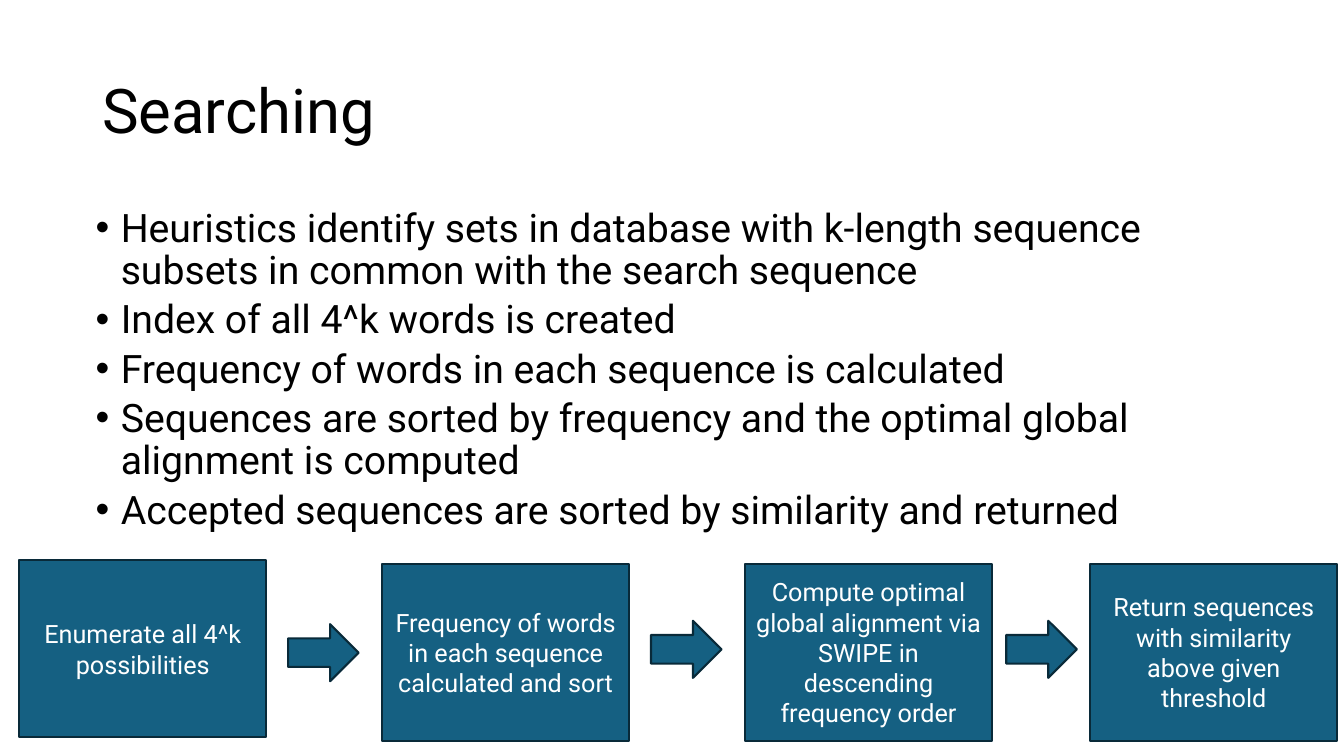
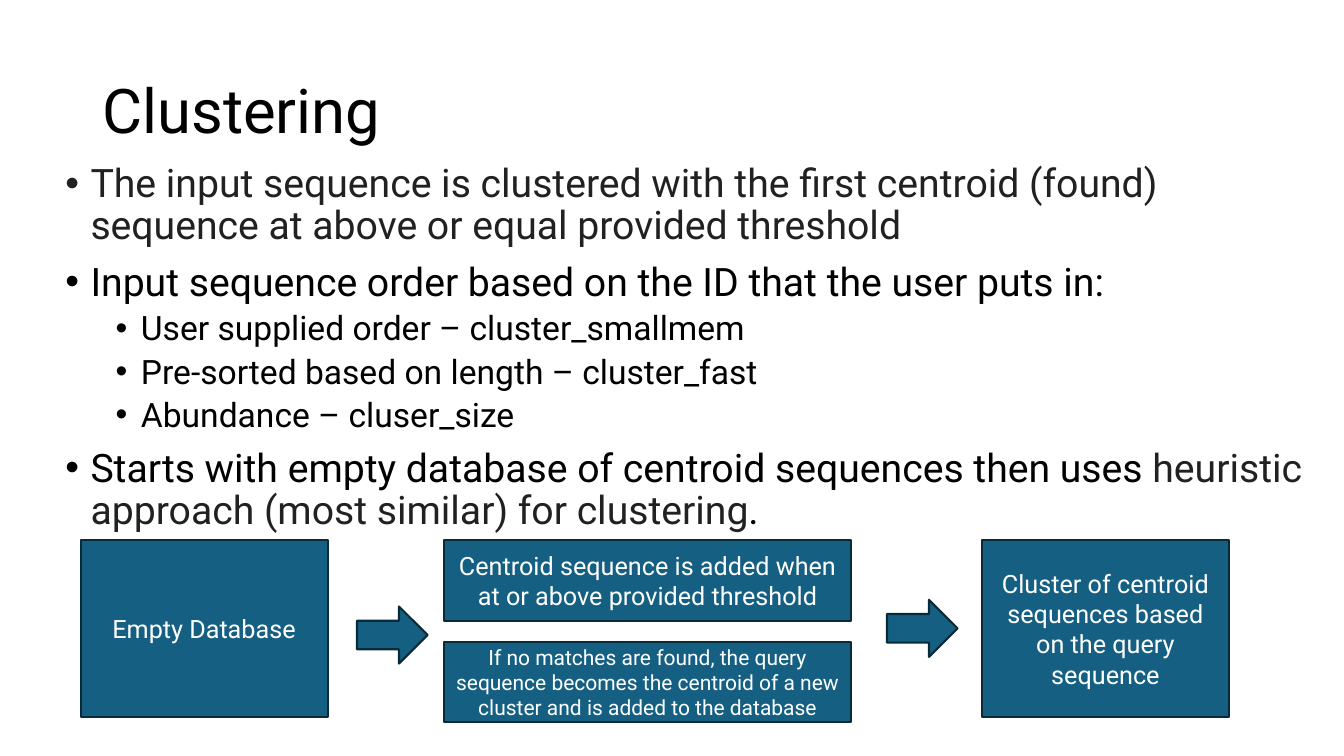
from lxml import etree
from pptx import Presentation
from pptx import util as u
from pptx.dml.color import RGBColor
from pptx.enum import shapes, text
from pptx.oxml.ns import qn

COLORS = {"ink": "000000", "soft": "212121", "box": "156082",
          "edge": "092A39", "light": "FFFFFF"}
FONT = "Roboto"
COLUMNS, ROWS = 160, 90
BOX_W, BOX_H = 29.4, 21.1
ARROW_W, ARROW_H = 8.4, 6.8
# Per outline level: text size, left margin in inches, space before
LEVELS = {0: (28, 0.25, 10), 1: (24, 0.75, 5)}


class Deck:
    def __init__(self):
        self.prs = Presentation()
        self.prs.slide_width, self.prs.slide_height = u.Inches(13.333), u.Inches(7.5)
        self.slide = None

    def place(self, left, top, width, height):
        """Turn grid columns and rows into slide lengths."""
        column = self.prs.slide_width / COLUMNS
        row = self.prs.slide_height / ROWS
        return (round(left * column), round(top * row),
                round(width * column), round(height * row))

    def add_words(self, paragraph, words, size, color="ink"):
        run = paragraph.add_run()
        run.text = words
        run.font.size, run.font.name = u.Pt(size), FONT
        run.font.color.rgb = RGBColor.from_string(COLORS[color])

    def text_frame(self, *cell):
        frame = self.slide.shapes.add_textbox(*self.place(*cell)).text_frame
        frame.word_wrap = True
        return frame

    def start(self, title):
        self.slide = self.prs.slides.add_slide(self.prs.slide_layouts[6])
        frame = self.text_frame(11, 4.8, 138, 17.4)
        frame.vertical_anchor = text.MSO_ANCHOR.MIDDLE
        heading = frame.paragraphs[0]
        heading.line_spacing = 0.9
        self.add_words(heading, title, 44)

    def bullets(self, cell, items):
        """Each item is (level, size or None for the level's own, runs of (words, color))."""
        frame = self.text_frame(*cell)
        for number, (level, size, runs) in enumerate(items):
            point = frame.add_paragraph() if number else frame.paragraphs[0]
            level_size, margin, before = LEVELS[level]
            point.level, point.line_spacing = level, 0.9
            point.space_before = u.Pt(before)
            props = point._p.get_or_add_pPr()
            props.set("marL", str(u.Inches(margin)))
            props.set("indent", str(u.Inches(-0.25)))
            etree.SubElement(props, qn("a:buFont")).set("typeface", "Arial")
            etree.SubElement(props, qn("a:buChar")).set("char", "•")
            for words, color in runs:
                self.add_words(point, words, size or level_size, color)

    def block(self, kind, cell):
        block = self.slide.shapes.add_shape(kind, *self.place(*cell))
        block.shadow.inherit = False
        block.fill.solid()
        block.fill.fore_color.rgb = RGBColor.from_string(COLORS["box"])
        block.line.color.rgb = RGBColor.from_string(COLORS["edge"])
        block.line.width = u.Pt(1.5)
        return block

    def step(self, left, top, words, width=BOX_W, height=BOX_H, size=18):
        frame = self.block(shapes.MSO_SHAPE.RECTANGLE,
                           (left, top, width, height)).text_frame
        frame.word_wrap = True
        frame.vertical_anchor = text.MSO_ANCHOR.MIDDLE
        frame.paragraphs[0].alignment = text.PP_ALIGN.CENTER
        self.add_words(frame.paragraphs[0], words, size, "light")

    def arrow(self, left, top):
        self.block(shapes.MSO_SHAPE.RIGHT_ARROW, (left, top, ARROW_W, ARROW_H))


def searching(deck):
    deck.start("Searching")
    points = (
        "Heuristics identify sets in database with k-length sequence subsets "
        "in common with the search sequence",
        "Index of all 4^k words is created",
        "Frequency of words in each sequence is calculated",
        "Sequences are sorted by frequency and the optimal global alignment is computed",
        "Accepted sequences are sorted by similarity and returned",
    )
    deck.bullets((4.2, 24.2, 138, 57.1),
                 [(1, 28, [(words, "ink")]) for words in points])
    for left, top, words in (
        (2.3, 66.7, "Enumerate all 4^k possibilities"),
        (45.5, 67.1, "Frequency of words in each sequence calculated and sort"),
        (88.7, 67.1, "Compute optimal global alignment via SWIPE in descending frequency order"),
        (129.8, 67.1, "Return sequences with similarity above given threshold"),
    ):
        deck.step(left, top, words)
    for left, top in ((34.3, 74.3), (77.5, 73.9), (119.8, 73.9)):
        deck.arrow(left, top)


def clustering(deck):
    deck.start("Clustering")
    orders = ("User supplied order – cluster_smallmem",
              "Pre-sorted based on length – cluster_fast",
              "Abundance – cluser_size")
    deck.bullets((6.6, 18.9, 149.9, 45), [
        (0, None, [("The input sequence is clustered with the first centroid "
                    "(found) sequence at above or equal provided threshold", "soft")]),
        (0, None, [("Input sequence order based on the ID that the user puts in:", "ink")]),
        *[(1, None, [(order, "ink")]) for order in orders],
        (0, None, [("Starts with empty database of centroid sequences then uses ", "ink"),
                   ("heuristic approach (most similar) for clustering", "soft"),
                   (".", "ink")]),
    ])
    top, middle = 64.3, 52.9
    deck.step(9.6, top, "Empty Database")
    deck.step(middle, top, "Centroid sequence is added when at or above provided threshold",
              48.4, 9.6)
    deck.step(middle, top + 12.1, "If no matches are found, the query sequence becomes the "
              "centroid of a new cluster and is added to the database", 48.4, 9.6, 15)
    deck.step(116.9, top, "Cluster of centroid sequences based on the query sequence")
    deck.arrow(42.5, 72.2)
    deck.arrow(105.6, 71.4)


def main():
    deck = Deck()
    searching(deck)
    clustering(deck)
    deck.prs.save("out.pptx")


if __name__ == "__main__":
    main()
